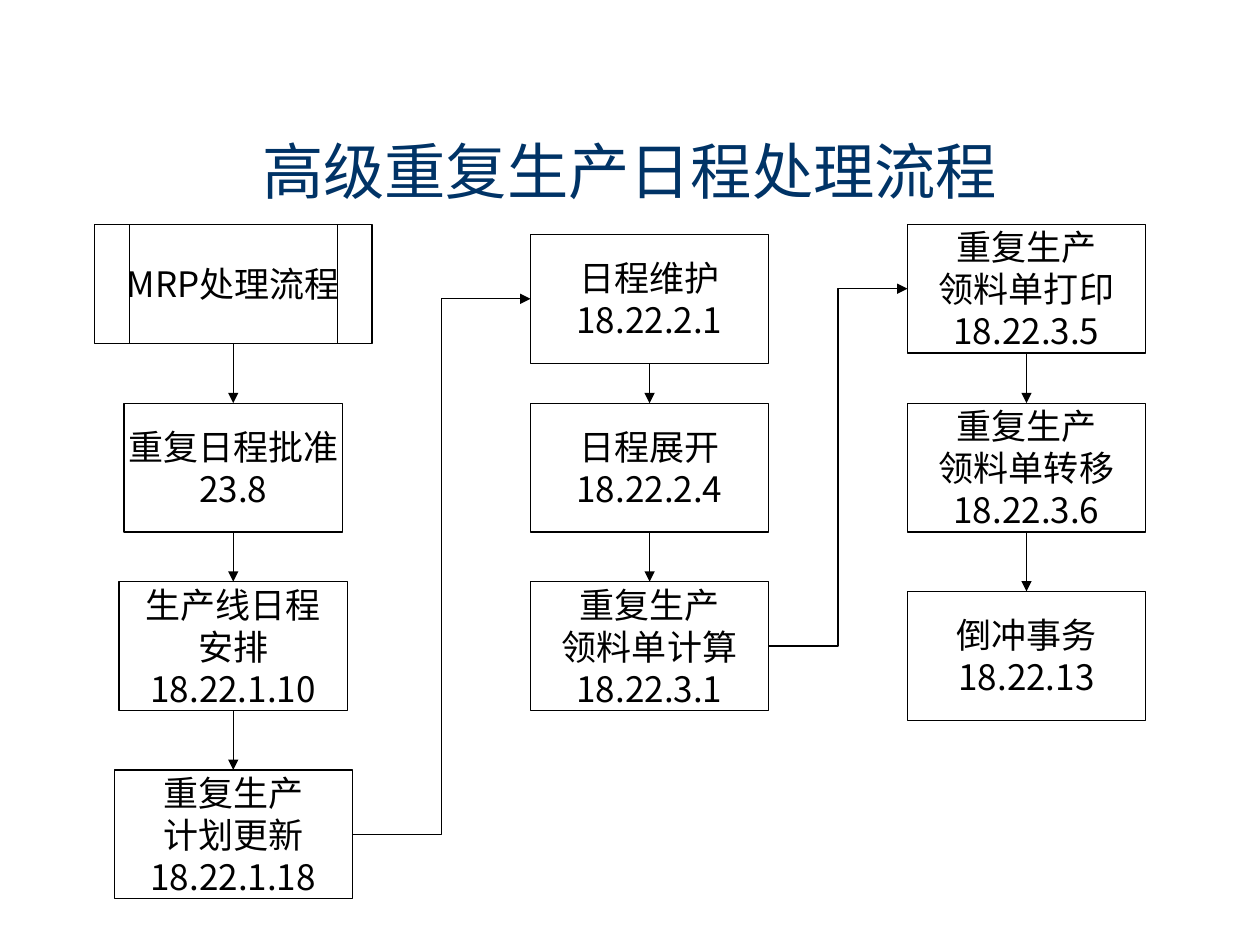
import pptx
import pptx.util
import pptx.dml.color
import pptx.enum.shapes
import pptx.enum.text
import pptx.oxml.ns
import lxml.etree
from dataclasses import dataclass

Pt = pptx.util.Pt
RGB = pptx.dml.color.RGBColor
Shape = pptx.enum.shapes.MSO_SHAPE
Connector = pptx.enum.shapes.MSO_CONNECTOR
qn = pptx.oxml.ns.qn


@dataclass(frozen=True)
class Theme:
    title_color: RGB = RGB(0x00, 0x33, 0x66)
    ink: RGB = RGB(0, 0, 0)
    title_font: str = "Montserrat"
    step_font: str = "Noto Sans CJK SC"
    title_size: float = 35
    step_size: float = 20
    step_leading: float = 24
    line_width: float = 0.74


THEME = Theme()
STEP_HEIGHT = 73.6
TOP, LEFT, BOTTOM, RIGHT = range(4)  # connection sites of a step


def write_lines(frame, lines, font, size, color, leading=None):
    frame.vertical_anchor = pptx.enum.text.MSO_ANCHOR.MIDDLE
    for index, line in enumerate(lines):
        paragraph = frame.paragraphs[0] if index == 0 else frame.add_paragraph()
        paragraph.alignment = pptx.enum.text.PP_ALIGN.CENTER
        if leading:
            paragraph.line_spacing = Pt(leading)
        run = paragraph.add_run()
        run.text = line
        run.font.name = font
        run.font.size = Pt(size)
        run.font.color.rgb = color
        east_asian = lxml.etree.SubElement(run.font._element, qn("a:ea"))
        east_asian.set("typeface", font)


def add_title(slide, text, left, top, width, height):
    title = slide.shapes.add_textbox(Pt(left), Pt(top), Pt(width), Pt(height))
    title.text_frame.word_wrap = True
    write_lines(title.text_frame, [text], THEME.title_font,
                THEME.title_size, THEME.title_color)


def add_step(slide, lines, center, top, width, height=STEP_HEIGHT,
             outline=Shape.FLOWCHART_PROCESS):
    step = slide.shapes.add_shape(outline, Pt(center - width / 2), Pt(top),
                                  Pt(width), Pt(height))
    step.shadow.inherit = False
    step.fill.background()
    step.line.color.rgb = THEME.ink
    step.line.width = Pt(THEME.line_width)
    step.text_frame.word_wrap = False
    write_lines(step.text_frame, lines, THEME.step_font, THEME.step_size,
                THEME.ink, THEME.step_leading)
    return step


def add_arrow(slide, source, source_site, target, target_site, kind):
    arrow = slide.shapes.add_connector(kind, 0, 0, 0, 0)
    arrow.begin_connect(source, source_site)
    arrow.end_connect(target, target_site)
    arrow.line.color.rgb = THEME.ink
    arrow.line.width = Pt(THEME.line_width)
    head = lxml.etree.SubElement(arrow.line._get_or_add_ln(), qn("a:tailEnd"))
    head.set("type", "triangle")
    lxml.etree.SubElement(arrow._element.spPr, qn("a:effectLst"))


def add_column(slide, center, steps):
    """Stack steps around one centre line and join them downwards."""
    column = [add_step(slide, lines, center, top, width, **options)
              for lines, top, width, options in steps]
    for upper, lower in zip(column, column[1:]):
        add_arrow(slide, upper, BOTTOM, lower, TOP, Connector.STRAIGHT)
    return column


presentation = pptx.Presentation()
presentation.slide_width, presentation.slide_height = Pt(720), Pt(540)
slide = presentation.slides.add_slide(presentation.slide_layouts[6])

add_title(slide, "高级重复生产日程处理流程", 54, 52, 612, 90)

# Row tops and the common step width
FIRST, SECOND, THIRD, FOURTH = 128.2, 230.4, 332.4, 440
WIDE = 136

# Planning, schedule and picking columns
planning = add_column(slide, 133.3, [
    (["MRP处理流程"], FIRST, 158.6,
     {"height": 68, "outline": Shape.FLOWCHART_PREDEFINED_PROCESS}),
    (["重复日程批准", "23.8"], SECOND, 124.8, {}),
    (["生产线日程", "安排", "18.22.1.10"], THIRD, 130.4, {}),
    (["重复生产", "计划更新", "18.22.1.18"], FOURTH, WIDE, {}),
])
schedule = add_column(slide, 371.2, [
    (["日程维护", "18.22.2.1"], 134, WIDE, {}),
    (["日程展开", "18.22.2.4"], SECOND, WIDE, {}),
    (["重复生产", "领料单计算", "18.22.3.1"], THIRD, WIDE, {}),
])
picking = add_column(slide, 586.6, [
    (["重复生产", "领料单打印", "18.22.3.5"], FIRST, WIDE, {}),
    (["重复生产", "领料单转移", "18.22.3.6"], SECOND, WIDE, {}),
    (["倒冲事务", "18.22.13"], 338, WIDE, {}),
])

# From the foot of each column to the head of the next
for before, after in ((planning, schedule), (schedule, picking)):
    add_arrow(slide, before[-1], RIGHT, after[0], LEFT, Connector.ELBOW)

presentation.save("out.pptx")
